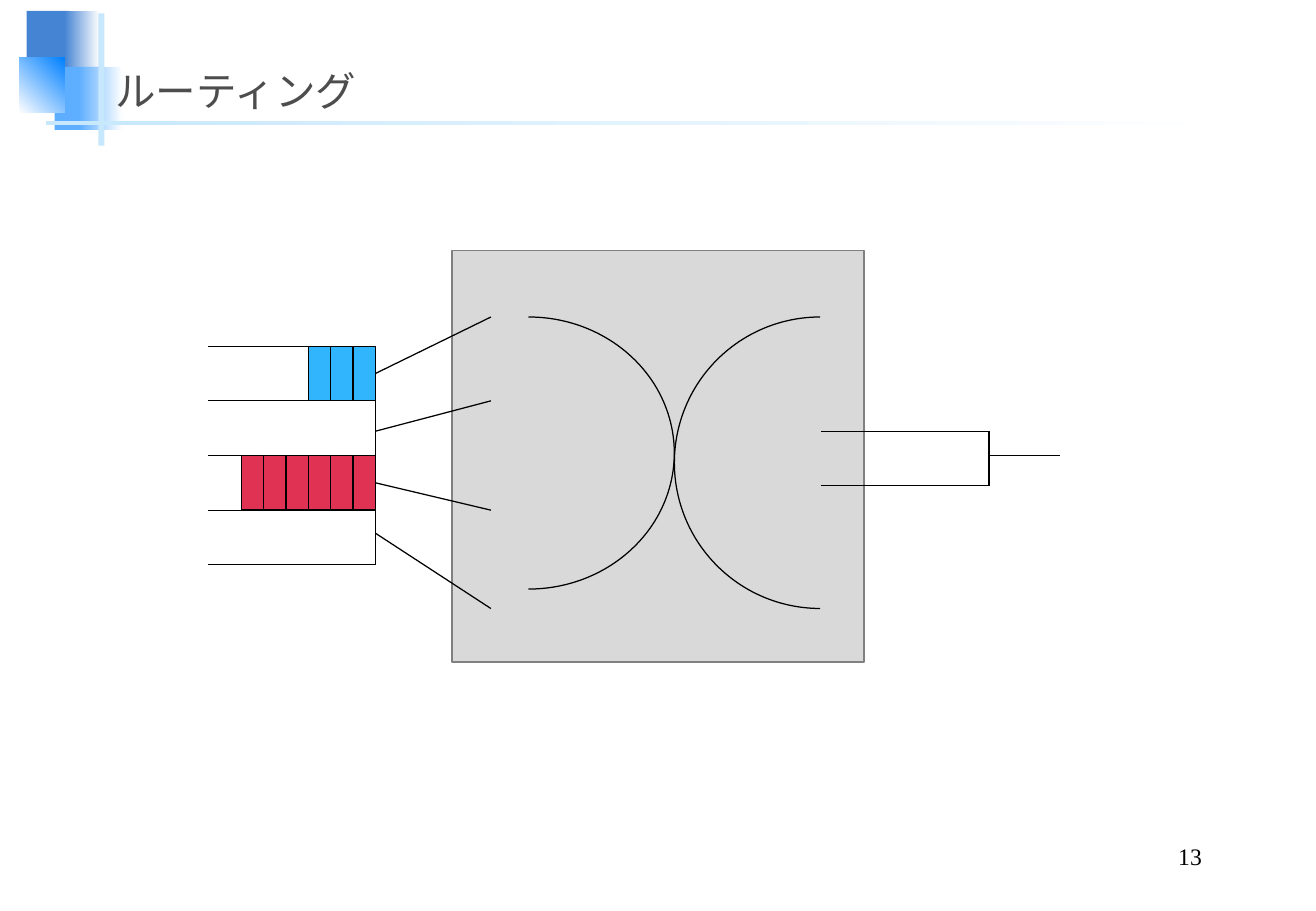
import pptx
import pptx.util
import pptx.dml.color
import pptx.enum.shapes
import pptx.enum.text
import pptx.oxml.ns
from dataclasses import dataclass
from lxml import etree

PX = 9144  # one px is a hundredth of an inch
SHAPES = pptx.enum.shapes.MSO_SHAPE
ALIGN = pptx.enum.text.PP_ALIGN


@dataclass(frozen=True)
class Theme:
    font: str = "Times New Roman"
    title_size: int = 24
    number_size: int = 14
    line_width: float = 0.75
    title: str = "4D4D4D"
    ink: str = "000000"
    white: str = "FFFFFF"
    deep_blue: str = "4584D3"
    mid_blue: str = "5EAEFF"
    bright_blue: str = "0080FF"
    pale_blue: str = "C6E7FC"
    packet_blue: str = "31B6FD"
    packet_red: str = "E03253"
    switch_fill: str = "D9D9D9"
    switch_line: str = "808080"


THEME = Theme()


def px(*lengths):
    return [pptx.util.Emu(round(length * PX)) for length in lengths]


def rgb(value):
    return pptx.dml.color.RGBColor.from_string(value)


def add_shape(slide, box, fill=None, line=None, preset=SHAPES.RECTANGLE, angle=0):
    """Add a preset shape; a pair of colours as fill makes a gradient."""
    shape = slide.shapes.add_shape(preset, *px(*box))
    shape.shadow.inherit = False
    if fill is None:
        shape.fill.background()
    elif isinstance(fill, tuple):
        shape.fill.gradient()
        shape.fill.gradient_angle = angle
        for stop, colour in zip(shape.fill.gradient_stops, fill):
            stop.color.rgb = rgb(colour)
    else:
        shape.fill.solid()
        shape.fill.fore_color.rgb = rgb(fill)
    if line is None:
        shape.line.fill.background()
    else:
        shape.line.color.rgb = rgb(line)
        shape.line.width = pptx.util.Pt(THEME.line_width)
    return shape


def add_line(slide, start, end):
    connector = slide.shapes.add_connector(
        pptx.enum.shapes.MSO_CONNECTOR.STRAIGHT, *px(*start, *end))
    connector.line.color.rgb = rgb(THEME.ink)
    connector.line.width = pptx.util.Pt(THEME.line_width)
    properties = connector.element.find(pptx.oxml.ns.qn("p:spPr"))
    etree.SubElement(properties, pptx.oxml.ns.qn("a:effectLst"))
    return connector


def write_text(shape, text, size, colour, alignment):
    frame = shape.text_frame
    frame.word_wrap = True
    frame.auto_size = pptx.enum.text.MSO_AUTO_SIZE.NONE
    frame.vertical_anchor = pptx.enum.text.MSO_ANCHOR.BOTTOM
    paragraph = frame.paragraphs[0]
    paragraph.alignment = alignment
    run = paragraph.add_run()
    run.text = text
    run.font.name = THEME.font
    run.font.size = pptx.util.Pt(size)
    run.font.color.rgb = rgb(colour)


def draw_header(slide, left, top, text):
    # Overlapping squares and the crossing bars
    theme = THEME
    ornaments = [
        ((6, 0, 35, 52), theme.deep_blue, 0),
        ((37, 0, 29, 52), (theme.deep_blue, theme.white), 0),
        ((29, 46, 41, 52), theme.mid_blue, 0),
        ((49, 46, 36, 52), (theme.mid_blue, theme.white), 0),
        ((0, 38, 37, 46), (theme.white, theme.bright_blue), 45),
        ((65, 2, 5, 109), theme.pale_blue, 0),
        ((22, 91, 975, 3), (theme.pale_blue, theme.white), 0),
    ]
    for (x, y, width, height), fill, angle in ornaments:
        add_shape(slide, (left + x, top + y, width, height), fill, angle=angle)

    # Title, in front of the ornaments
    title = slide.shapes.title
    title.left, title.top, title.width, title.height = px(left + 69, top + 27, 929, 63)
    write_text(title, text, theme.title_size, theme.title, ALIGN.LEFT)
    title.element.getparent().append(title.element)


def draw_page_number(slide, left, top, width, height, number):
    box = slide.shapes.add_textbox(*px(left, top, width, height))
    write_text(box, number, THEME.number_size, THEME.ink, ALIGN.RIGHT)


def draw_input_queues(slide, left, top, width, lane_height, lanes):
    """Draw the stacked queues; return the front packet of each lane, if any."""
    right = left + width
    for index in range(len(lanes) + 1):
        y = top + index * lane_height
        add_line(slide, (left, y), (right, y))
    add_line(slide, (right, top), (right, top + len(lanes) * lane_height))

    # Packets, filled from the front of each queue
    packet_width = 18.4
    fronts = []
    for index, (count, colour) in enumerate(lanes):
        packets = [
            add_shape(slide, (right - (place + 1) * packet_width, top + index * lane_height,
                              packet_width, lane_height), colour, THEME.ink)
            for place in range(count)]
        fronts.append(packets[0] if packets else None)
    return fronts


def draw_switch(slide, left, top, size, input_x, inputs, fronts):
    add_shape(slide, (left, top, size, size), THEME.switch_fill, THEME.switch_line)

    # Links from the queues to the switch inputs
    for (start_y, end_y), front in zip(inputs, fronts):
        link = add_line(slide, (input_x, start_y), (left + 32, end_y))
        if front is not None:
            link.begin_connect(front, 3)

    # Two half ellipses that touch; angles in 60000ths of a degree over 100000
    top_angle, bottom_angle = 162, 54
    for x, height, angles in [(-57, 224, (top_angle, bottom_angle)),
                              (183, 240, (bottom_angle, top_angle))]:
        arc = add_shape(slide, (left + x, top + 55, 240, height),
                        line=THEME.ink, preset=SHAPES.ARC)
        arc.adjustments[0], arc.adjustments[1] = angles


def draw_output_queue(slide, left, top, width, height):
    right, bottom = left + width, top + height
    add_line(slide, (right, top), (right, bottom))
    for y in (top, bottom):
        add_line(slide, (left, y), (right, y))
    add_line(slide, (right, top + 20), (right + 58, top + 20))


def draw_routing_slide(presentation):
    slide = presentation.slides.add_slide(presentation.slide_layouts[5])
    draw_header(slide, 16, 9, "ルーティング")
    draw_page_number(slide, 773, 690, 226, 31, "13")
    lanes = [(3, THEME.packet_blue), (0, None), (6, THEME.packet_red), (0, None)]
    fronts = draw_input_queues(slide, 171, 285, 138, 45, lanes)
    inputs = [(308, 261), (355, 330), (397, 420), (439, 501)]
    draw_switch(slide, 372, 206, 339, 309, inputs, fronts)
    draw_output_queue(slide, 676, 355, 138, 45)


def main():
    presentation = pptx.Presentation()
    presentation.slide_width, presentation.slide_height = px(1083, 750)
    draw_routing_slide(presentation)
    presentation.save("out.pptx")


if __name__ == "__main__":
    main()
